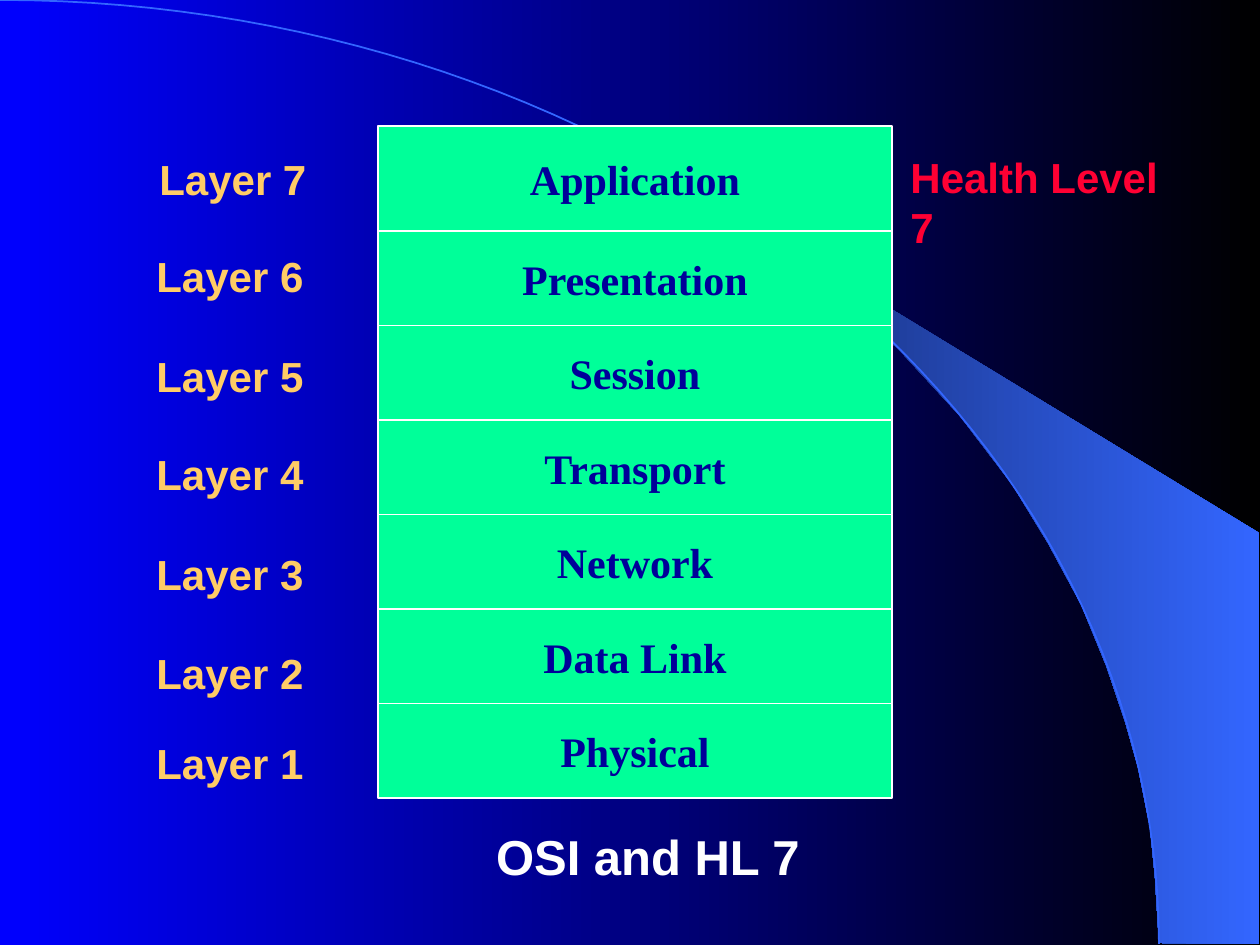
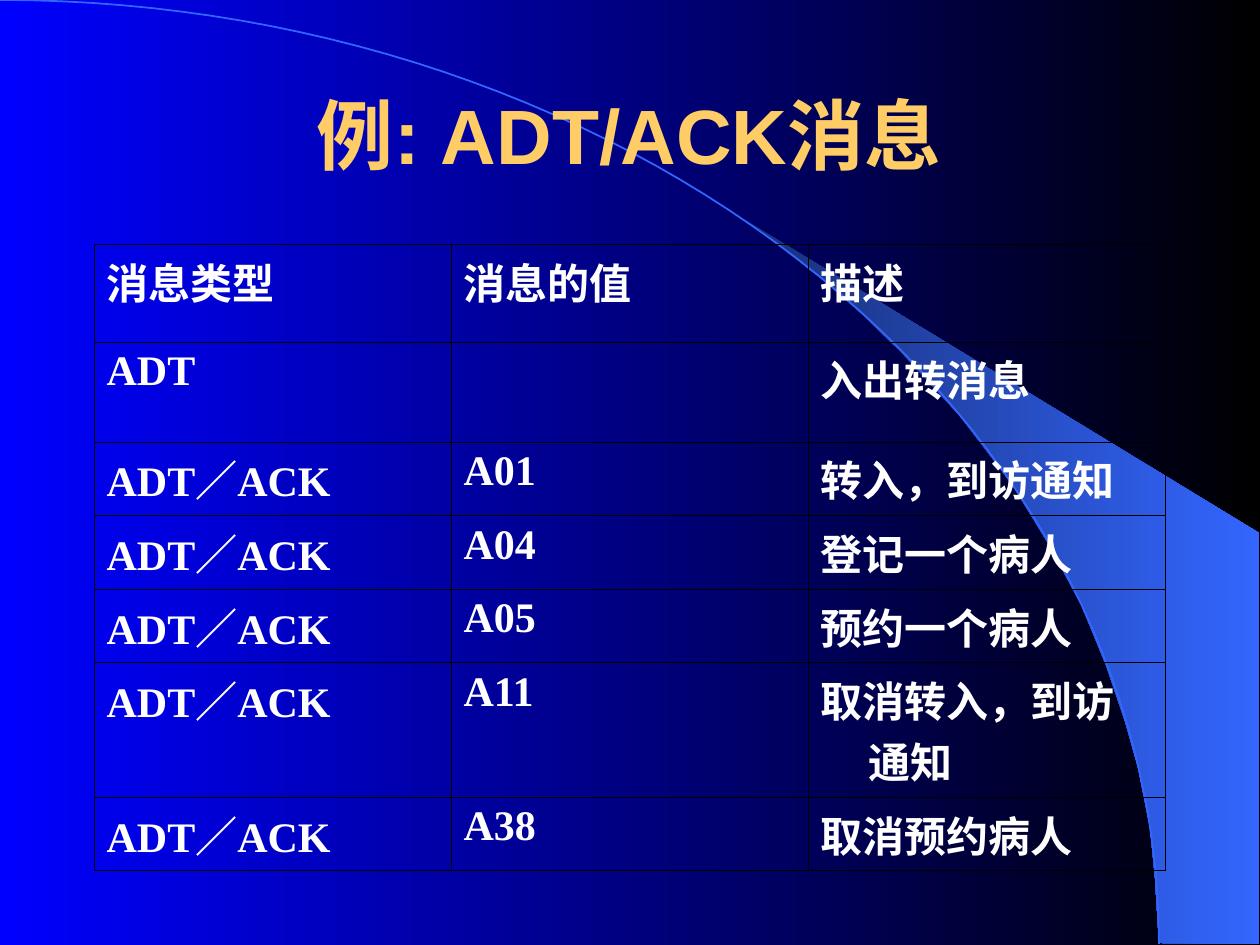
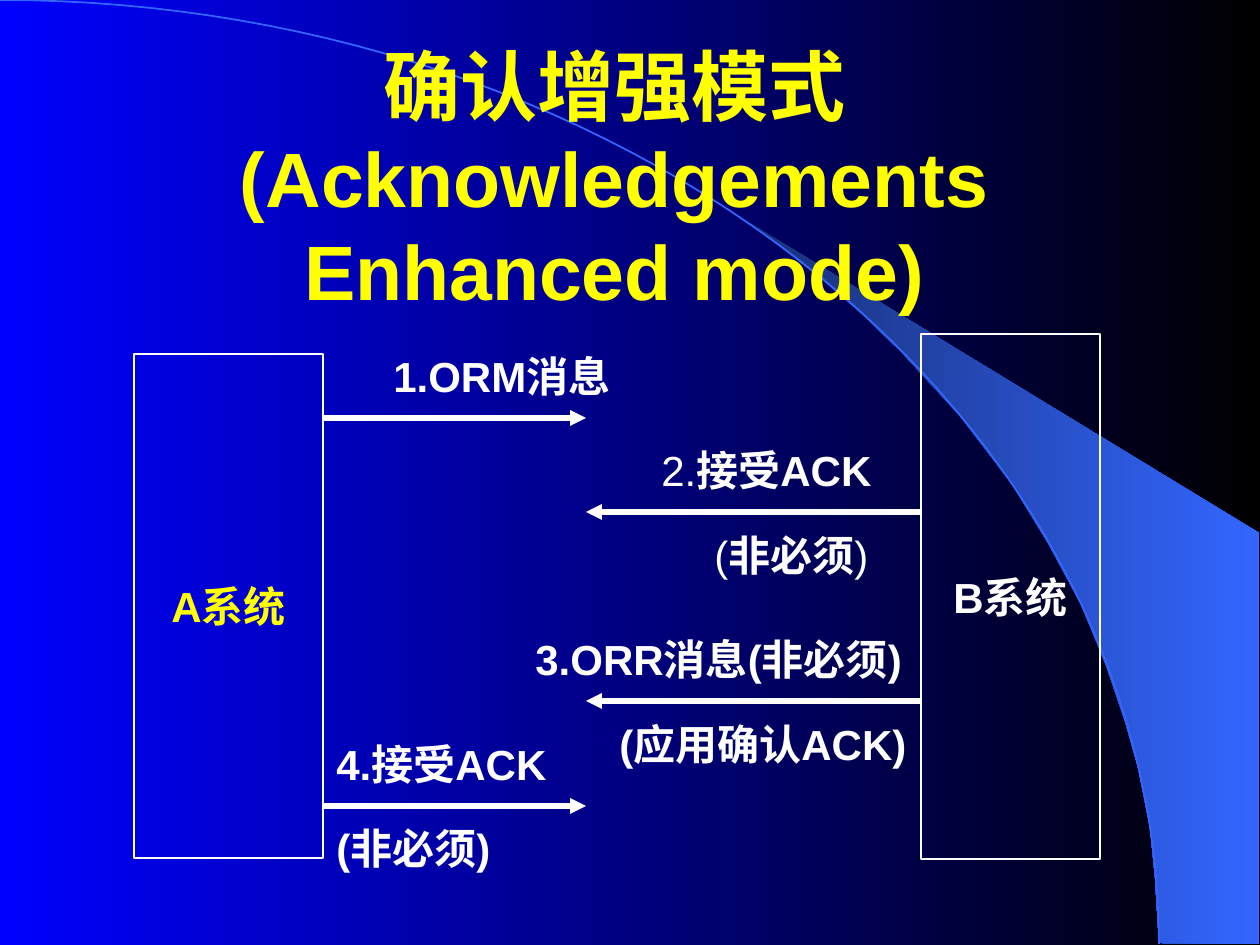
from math import cos, pi, sin

from pptx import Presentation
from pptx.dml.color import RGBColor
from pptx.enum.shapes import MSO_CONNECTOR, MSO_SHAPE
from pptx.enum.text import MSO_ANCHOR, MSO_AUTO_SIZE, PP_ALIGN
from pptx.oxml import parse_xml
from pptx.oxml.ns import nsdecls
from pptx.util import Emu, Pt

COLORS = {
    "blue": "0000FF", "black": "000000", "navy": "182F76", "sky": "3366FF",
    "green": "00FF99", "ink": "000099", "white": "FFFFFF", "gold": "FFCC66",
    "red": "FF0033", "yellow": "FFFF00",
}
SANS, SERIF = "Arial", "Times New Roman"
TITLE_ONLY, BLANK = 5, 6
LINE_HEIGHT = 63


def px(length):
    return Emu(round(length * 914400 / 126))


def rgb(name):
    return RGBColor.from_string(COLORS[name])


def write(frame, text, size=24, color="white", font=SANS, bold=True,
          align=PP_ALIGN.LEFT, anchor=MSO_ANCHOR.TOP, wrap=True):
    frame.word_wrap = wrap
    frame.vertical_anchor = anchor
    paragraph = frame.paragraphs[0]
    paragraph.alignment = align
    for words, weight in [(text, bold)] if isinstance(text, str) else text:
        run = paragraph.add_run()
        run.text = words
        run.font.size, run.font.name, run.font.bold = Pt(size), font, weight
        run.font.color.rgb = rgb(color)
    return paragraph


def shade(fill, start, end):
    fill.gradient()
    fill.gradient_angle = 0
    for stop, name in zip(fill.gradient_stops, (start, end)):
        stop.color.rgb = rgb(name)


class Deck:
    """Holds the shared style and the slide being filled."""

    def __init__(self):
        self.presentation = Presentation()
        self.presentation.slide_width, self.presentation.slide_height = px(1260), px(945)
        self.slide = None

    def start(self, layout):
        self.slide = self.presentation.slides.add_slide(
            self.presentation.slide_layouts[layout])

    def outline(self, points, close):
        corners = [(px(x), px(y)) for x, y in points]
        builder = self.slide.shapes.build_freeform(*corners[0], scale=1.0)
        builder.add_line_segments(corners[1:], close=close)
        shape = builder.convert_to_shape()
        shape.shadow.inherit = False
        return shape

    def backdrop(self, band_points, arc_points):
        master = self.presentation.slide_master
        shade(master.background.fill, "blue", "black")
        band = self.outline(band_points, True)
        shade(band.fill, "navy", "sky")
        band.line.fill.background()
        arc = self.outline(arc_points, False)
        arc.fill.background()
        arc.line.color.rgb, arc.line.width = rgb("sky"), Pt(1)
        for position, part in enumerate((band, arc)):
            part.element.nvSpPr.cNvPr.set("id", str(100 + position))
            master.element.cSld.spTree.insert(2 + position, part.element)

    def title(self, text, left, top, width, height, color="gold", lift=0):
        heading = self.slide.shapes.title
        heading.left, heading.top = px(left), px(top)
        heading.width, heading.height = px(width), px(height)
        frame = heading.text_frame
        frame.auto_size = MSO_AUTO_SIZE.NONE
        frame.margin_bottom = px(6 + 2 * lift)
        write(frame, text, size=44, color=color, align=PP_ALIGN.CENTER,
              anchor=MSO_ANCHOR.MIDDLE)

    def label(self, text, left, top, width, height=LINE_HEIGHT, **style):
        frame = self.slide.shapes.add_textbox(
            px(left), px(top), px(width), px(height)).text_frame
        frame.auto_size = MSO_AUTO_SIZE.SHAPE_TO_FIT_TEXT
        write(frame, text, **style)

    def box(self, text, left, top, width, height, fill=None, **style):
        shape = self.slide.shapes.add_shape(
            MSO_SHAPE.RECTANGLE, px(left), px(top), px(width), px(height))
        shape.shadow.inherit = False
        if fill:
            shape.fill.solid()
            shape.fill.fore_color.rgb = rgb(fill)
        else:
            shape.fill.background()
        shape.line.color.rgb, shape.line.width = rgb("white"), Pt(0.75)
        write(shape.text_frame, text, align=PP_ALIGN.CENTER,
              anchor=MSO_ANCHOR.MIDDLE, wrap=False, **style)

    def arrow(self, start, end, y):
        line = self.slide.shapes.add_connector(
            MSO_CONNECTOR.STRAIGHT, px(start), px(y), px(end), px(y))
        line.line.color.rgb, line.line.width = rgb("white"), Pt(3)
        properties = line.element.spPr
        properties.ln.append(parse_xml(f'<a:tailEnd {nsdecls("a")} type="triangle"/>'))
        properties.append(parse_xml(f'<a:effectLst {nsdecls("a")}/>'))

    def table(self, rows, left, top, column_width, heights):
        columns = len(rows[0])
        grid = self.slide.shapes.add_table(
            len(rows), columns, px(left), px(top),
            px(column_width * columns), px(sum(heights))).table
        grid.first_row = grid.horz_banding = False
        for column in grid.columns:
            column.width = px(column_width)
        for row, height, texts in zip(grid.rows, heights, rows):
            row.height = px(height)
            for cell, text in zip(row.cells, texts):
                self.cell(cell, text)

    def cell(self, cell, text):
        properties = cell._tc.get_or_add_tcPr()
        for side in ("lnL", "lnR", "lnT", "lnB"):
            properties.append(parse_xml(
                f'<a:{side} {nsdecls("a")} w="{Pt(0.45)}"><a:solidFill>'
                f'<a:srgbClr val="{COLORS["black"]}"/></a:solidFill></a:{side}>'))
        cell.fill.background()
        if text:
            indent = write(cell.text_frame, text, font=SERIF)._p.get_or_add_pPr()
            indent.set("marL", str(px(48)))
            indent.set("indent", str(px(-48)))


deck = Deck()

deck.start(BLANK)
BAND = [(1159, 943), (1259, 944), (1259, 533), (742, 218), (786, 251), (823, 280),
        (863, 315), (902, 353), (960, 416), (1012, 484), (1048, 543), (1081, 604),
        (1106, 665), (1125, 721), (1138, 767), (1150, 827), (1155, 877)]
ARC_STEPS = 60
ARC = [(1159 * sin(step * pi / 2 / ARC_STEPS), 944 * (1 - cos(step * pi / 2 / ARC_STEPS)))
       for step in range(ARC_STEPS + 1)]
deck.backdrop(BAND, ARC)

LAYERS = [("Application", 147), ("Presentation", 244), ("Session", 344),
          ("Transport", 442), ("Network", 542), ("Data Link", 641), ("Physical", 731)]
for index, (layer, label_top) in enumerate(LAYERS):
    first = index == 0
    deck.box(layer, 378, 126 if first else 231 + 94.5 * (index - 1), 514,
             105 if first else 94.5, fill="green", color="ink", font=SERIF)
    deck.label(f"Layer {len(LAYERS) - index}", 147 if first else 144, label_top, 179,
               color="gold")
deck.label("OSI and HL 7", 471, 820, 354, 72, size=28, align=PP_ALIGN.CENTER)
deck.label("Health Level 7", 898, 145, 307, color="red")

deck.start(TITLE_ONLY)
deck.title("例: ADT/ACK消息", 94, 55, 1071, 158)
EVENTS = [("A01", "转入，到访通知"), ("A04", "登记一个病人"), ("A05", "预约一个病人"),
          ("A11", "取消转入，到访通知"), ("A38", "取消预约病人")]
MESSAGES = [("消息类型", "消息的值", "描述"), ("ADT", "", "入出转消息")]
MESSAGES += [("ADT／ACK", *event) for event in EVENTS]
deck.table(MESSAGES, 94, 244, 357, [98, 100, 71, 69, 69, 113, 69])

deck.start(TITLE_ONLY)
deck.title("确认增强模式(Acknowledgements Enhanced mode)", 64, 135, 1101, 158,
           color="yellow", lift=37)
A_EDGE, MIDDLE, B_EDGE = 323, 586, 921
deck.box("A系统", 134, 354, A_EDGE - 134, 504, color="yellow")
deck.box("B系统", B_EDGE, 334, 179, 525)
for start, y in [(A_EDGE, 418), (B_EDGE, 512), (B_EDGE, 701), (A_EDGE, 806)]:
    deck.arrow(start, MIDDLE, y)
for text, left, top, width in [
    ("1.ORM消息", 381, 344, 252),
    ("3.ORR消息(非必须)", 523, 627, 432),
    ("(应用确认ACK)", 607, 712, 333),
    ("4.接受ACK", 324, 732, 255),
    ("(非必须)", 324, 816, 199),
    ([("2.", False), ("接受ACK", True)], 649, 438, 255),
    ([("(", False), ("非必须", True), (")", False)], 702, 523, 199),
]:
    deck.label(text, left, top, width, wrap=False)

deck.presentation.save("out.pptx")
